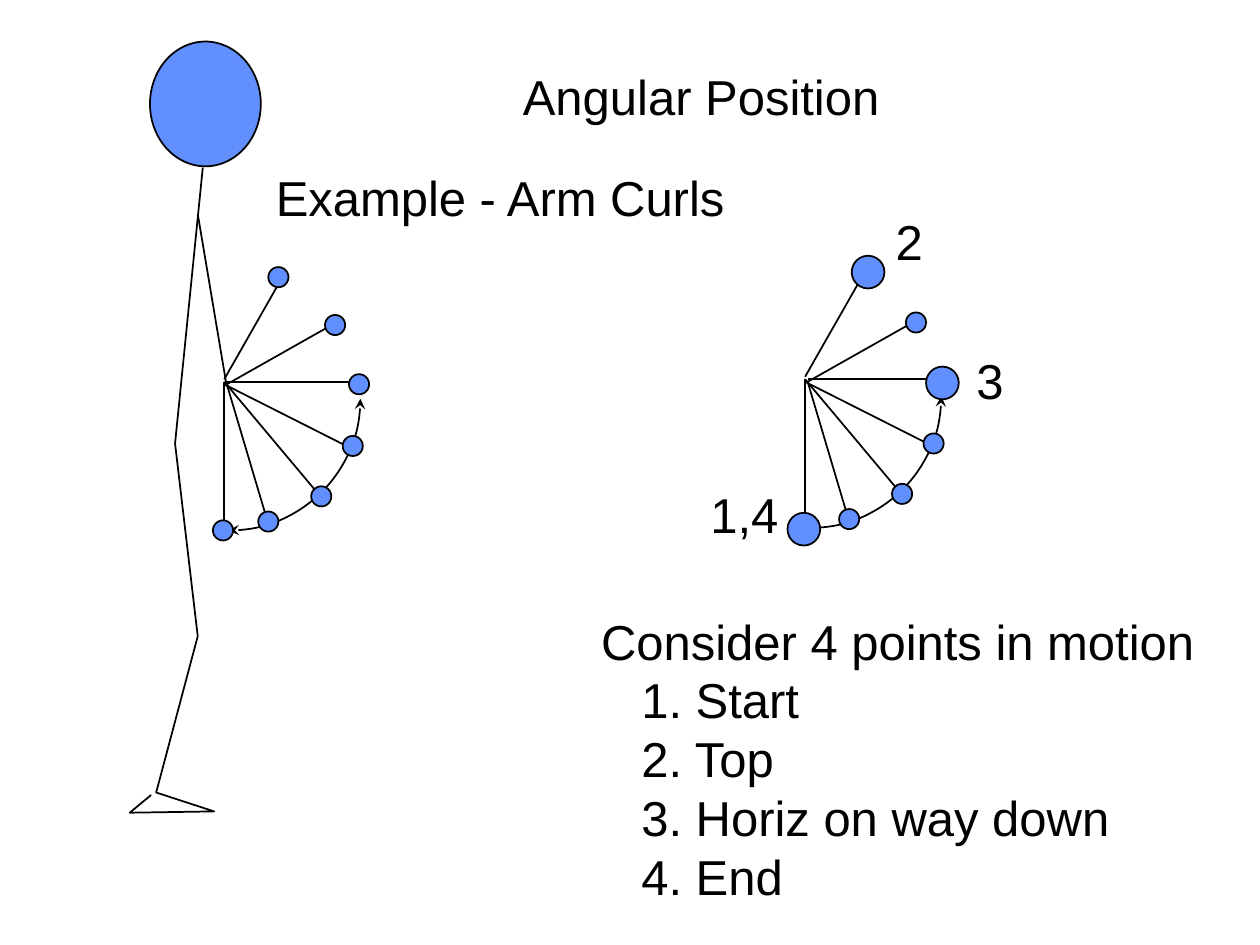
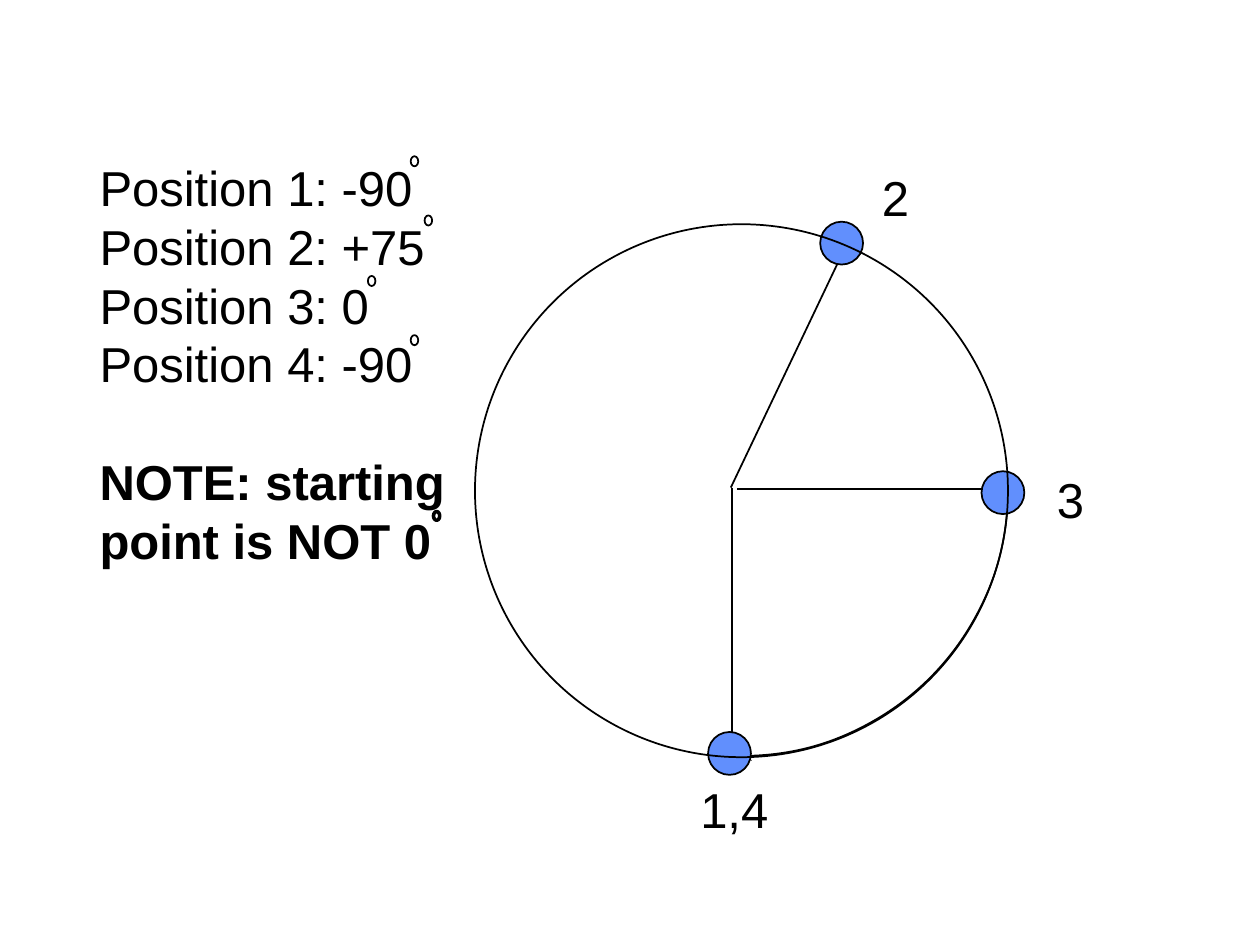
from lxml import etree
from pptx import Presentation
from pptx.dml.color import RGBColor
from pptx.enum.shapes import MSO_CONNECTOR, MSO_SHAPE
from pptx.enum.text import MSO_ANCHOR, MSO_AUTO_SIZE, PP_ALIGN
from pptx.oxml.ns import qn
from pptx.util import Emu, Pt

STRAIGHT = MSO_CONNECTOR.STRAIGHT
ELLIPSE, ARC = MSO_SHAPE.OVAL, MSO_SHAPE.ARC
TOP, LEFT = MSO_ANCHOR.TOP, PP_ALIGN.LEFT
NO_FIT = MSO_AUTO_SIZE.NONE

PX = 9144  # EMU; 100 px to the inch
SLIDE_SIZE = (1000, 750)
BLACK = RGBColor(0x00, 0x00, 0x00)
BLUE = RGBColor(0x61, 0x8F, 0xFD)
FONT = {"name": "Arial", "size": Pt(28)}
LINE_HEIGHT = Pt(33.6)
LABEL_HEIGHT = 57
TITLE_AND_CONTENT = 1

# Slide 1: boxes are (left, top, width, height), dots are given by their centres
TITLE = ("Angular Position", (405, 48, 303, 57))
SUBTITLE = ("Example - Arm Curls", (209, 128, 378, 57))
POINTS_BOX = (467, 480, 491, 244)
POINTS_HEADING = "Consider 4 points in motion"
POINTS = ["1. Start", "2. Top", "3. Horiz on way down", "4. End"]
POINTS_INDENT = 32

HEAD = (119, 33, 88, 99)
BODY_OUTLINE = [(161, 133), (139, 352), (157, 505), (124, 629),
                (170, 644), (103, 645), (120, 631)]
UPPER_ARM = ((157, 170), (180, 307))

FAN_ARC = (77, 212, 209, 209)
FOREARMS = [((180, 305), (213, 416)), ((178, 303), (256, 396)),
            ((178, 305), (279, 356)), ((180, 303), (285, 303)),
            ((180, 305), (265, 257)), ((178, 301), (223, 222)),
            ((178, 303), (178, 422))]
HANDS_BETWEEN = [(213, 414), (255, 394), (280, 354), (266, 258)]
HANDS_AT_POINTS = [(177, 421), (285, 305), (221, 220)]
HAND_SIZE = 16
SECOND_FAN_SHIFT = (461, -2)

# Marked points: label, dot centre, label corner, label width
FAN_MARKS = [("1,4", (638, 420), (554, 380), 74),
             ("2", (689, 216), (701, 163), 42),
             ("3", (748, 304), (765, 273), 42)]
FAN_MARK_SIZE = 26

# Slide 2
POSITIONS_BOX = (69, 120, 294, 384)
POSITIONS = ["Position 1: -90", "Position 2: +75", "Position 3: 0", "Position 4: -90"]
NOTE = ["NOTE: starting", "point is NOT 0"]
DEGREE_RINGS = [(326, 124), (337, 171), (292, 219), (326, 266)]
DEGREE_SIZE = (6, 8)
NOTE_DEGREE = (344, 406, 5, 7)

CIRCLE = (377, 178, 423, 423)
CIRCLE_ARC = (377, 177, 423, 423)
RADII = [((585, 388), (797, 388)), ((580, 387), (671, 196)), ((581, 387), (581, 600))]
CIRCLE_MARKS = [("1,4", (579, 598), (546, 614), 74),
                ("3", (796, 391), (829, 368), 42),
                ("2", (668, 193), (690, 128), 42)]
CIRCLE_MARK_SIZE = 34


def emu(lengths):
    return [Emu(length * PX) for length in lengths]


def shift(point, offset):
    return point[0] + offset[0], point[1] + offset[1]


def outline(shape, width=1):
    shape.line.color.rgb = BLACK
    shape.line.width = Pt(width)


def add_ellipse(slide, box, fill=None, line_width=1):
    ellipse = slide.shapes.add_shape(ELLIPSE, *emu(box))
    ellipse.shadow.inherit = False
    if fill is None:
        ellipse.fill.background()
    else:
        ellipse.fill.solid()
        ellipse.fill.fore_color.rgb = fill
    outline(ellipse, line_width)


def add_dot(slide, centre, size):
    add_ellipse(slide, (centre[0] - size // 2, centre[1] - size // 2, size, size), BLUE)


def add_line(slide, start, end):
    line = slide.shapes.add_connector(STRAIGHT, *emu(start + end))
    outline(line)
    etree.SubElement(line._element.spPr, qn("a:effectLst"))


def add_motion_arc(slide, box):
    """Right half circle, just past the top, with an arrowhead at both ends."""
    arc = slide.shapes.add_shape(ARC, *emu(box))
    arc.shadow.inherit = False
    arc.fill.background()
    outline(arc)
    for index, degrees in enumerate((-93, 90)):
        arc.adjustments[index] = degrees * 0.6  # 60000 per degree over 100000
    for end in ("a:headEnd", "a:tailEnd"):
        etree.SubElement(arc.line._ln, qn(end), type="stealth")


def format_text(shape, box, lines):
    """Fill a shape with lines, each a (text, paragraph options) pair."""
    shape.left, shape.top, shape.width, shape.height = emu(box)
    frame = shape.text_frame
    for name, value in {"word_wrap": False, "auto_size": NO_FIT,
                        "vertical_anchor": TOP}.items():
        setattr(frame, name, value)
    for index, (text, options) in enumerate(lines):
        paragraph = frame.paragraphs[0] if index == 0 else frame.add_paragraph()
        layout = {"alignment": LEFT, "line_spacing": LINE_HEIGHT,
                  "space_before": options.get("space_before", Pt(0)), "space_after": Pt(0)}
        for name, value in layout.items():
            setattr(paragraph, name, value)
        properties = paragraph._p.get_or_add_pPr()
        properties.set("marL", str(options.get("indent", 0) * PX))
        properties.set("indent", "0")
        etree.SubElement(properties, qn("a:buNone"))
        run = paragraph.add_run()
        run.text = text
        for name, value in {**FONT, "bold": options.get("bold", False)}.items():
            setattr(run.font, name, value)
        run.font.color.rgb = BLACK


def add_text(slide, text, box):
    format_text(slide.shapes.add_textbox(0, 0, 0, 0), box, [(text, {})])


def add_marks(slide, marks, size):
    for _, centre, _, _ in marks:
        add_dot(slide, centre, size)
    for label, _, corner, width in marks:
        add_text(slide, label, (*corner, width, LABEL_HEIGHT))


def add_fan(slide, hands, offset=(0, 0)):
    """Forearm positions of one curl, with the path of the hand."""
    add_motion_arc(slide, shift(FAN_ARC, offset) + FAN_ARC[2:])
    for start, end in FOREARMS:
        add_line(slide, shift(start, offset), shift(end, offset))
    for hand in hands:
        add_dot(slide, shift(hand, offset), HAND_SIZE)


def add_person(slide):
    add_ellipse(slide, HEAD, BLUE)
    builder = slide.shapes.build_freeform(*BODY_OUTLINE[0], scale=PX)
    builder.add_line_segments(BODY_OUTLINE[1:], close=False)
    body = builder.convert_to_shape()
    body.shadow.inherit = False
    body.fill.background()
    outline(body)
    add_line(slide, *UPPER_ARM)


def build_arm_curl_slide(presentation):
    slide = presentation.slides.add_slide(presentation.slide_layouts[TITLE_AND_CONTENT])
    title, title_box = TITLE
    format_text(slide.shapes.title, title_box, [(title, {})])
    points = [(point, {"indent": POINTS_INDENT}) for point in POINTS]
    format_text(slide.placeholders[1], POINTS_BOX, [(POINTS_HEADING, {})] + points)
    add_text(slide, *SUBTITLE)
    add_person(slide)
    add_fan(slide, HANDS_BETWEEN + HANDS_AT_POINTS)
    add_fan(slide, HANDS_BETWEEN, SECOND_FAN_SHIFT)
    add_marks(slide, FAN_MARKS, FAN_MARK_SIZE)


def build_position_slide(presentation):
    slide = presentation.slides.add_slide(presentation.slide_layouts[TITLE_AND_CONTENT])
    title = slide.shapes.title._element
    title.getparent().remove(title)
    note_options = [{"bold": True, "space_before": LINE_HEIGHT}, {"bold": True}]
    lines = [(position, {}) for position in POSITIONS] + list(zip(NOTE, note_options))
    format_text(slide.placeholders[1], POSITIONS_BOX, lines)
    add_motion_arc(slide, CIRCLE_ARC)
    for start, end in RADII:
        add_line(slide, start, end)
    add_marks(slide, CIRCLE_MARKS, CIRCLE_MARK_SIZE)
    add_ellipse(slide, CIRCLE)
    for corner in DEGREE_RINGS:
        add_ellipse(slide, corner + DEGREE_SIZE)
    add_ellipse(slide, NOTE_DEGREE, line_width=2)


def main():
    presentation = Presentation()
    presentation.slide_width, presentation.slide_height = emu(SLIDE_SIZE)
    build_arm_curl_slide(presentation)
    build_position_slide(presentation)
    presentation.save("out.pptx")


if __name__ == "__main__":
    main()
